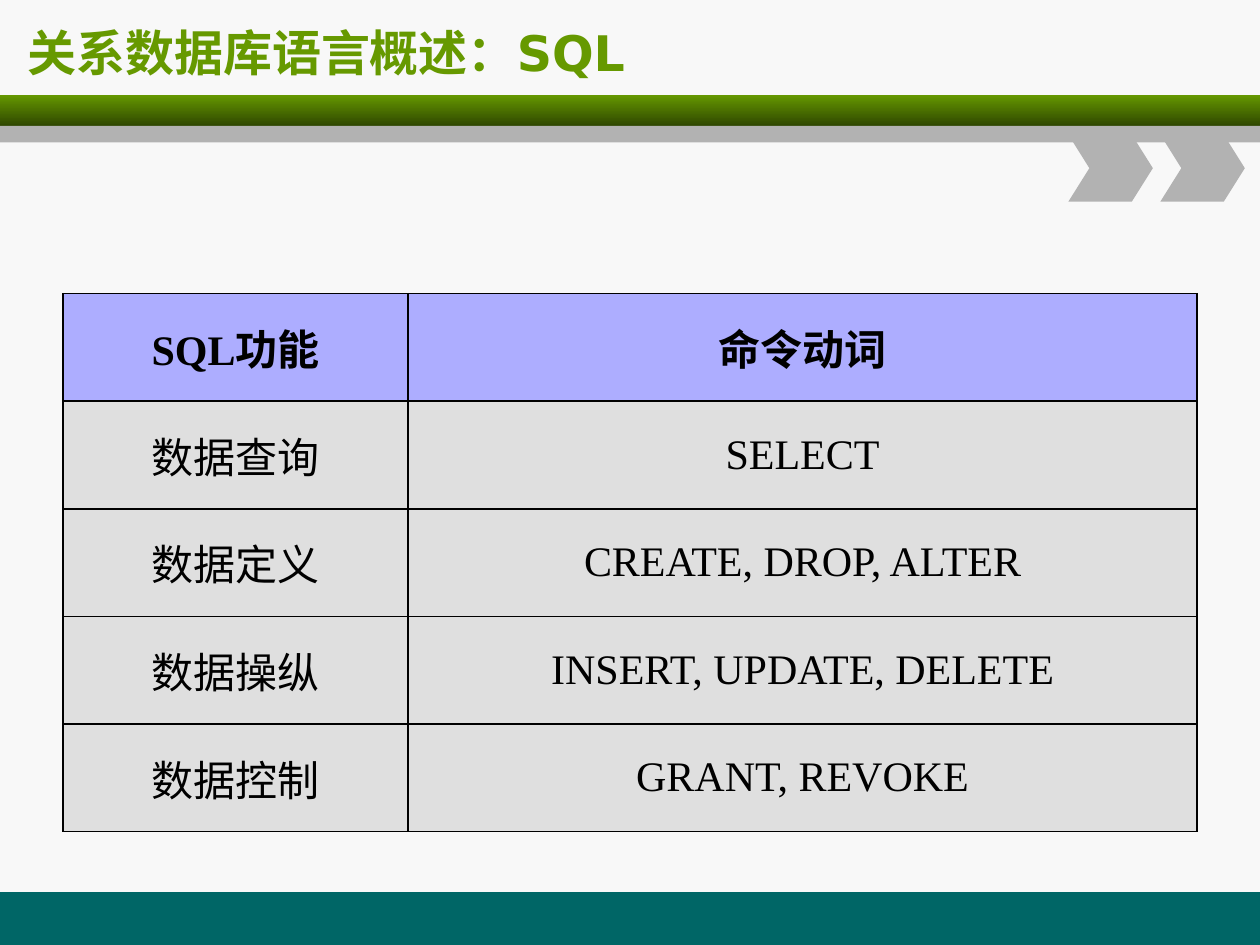
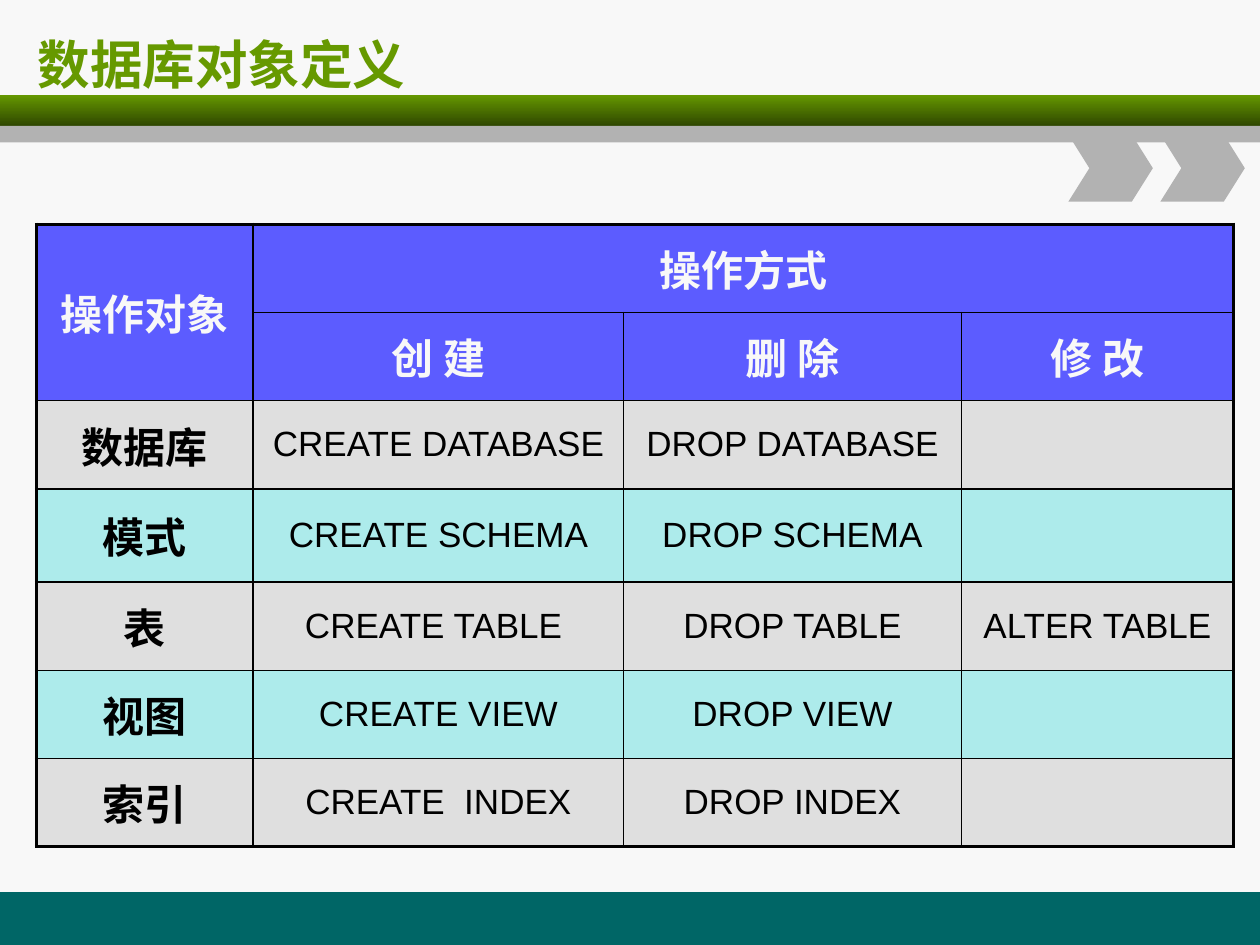
import pptx
import pptx.dml.color
import pptx.enum.shapes
import pptx.enum.text
import pptx.oxml
import pptx.oxml.ns
import pptx.util
from lxml import etree

Inches = pptx.util.Inches
Pt = pptx.util.Pt
RGB = pptx.dml.color.RGBColor
Shape = pptx.enum.shapes.MSO_SHAPE
Middle = pptx.enum.text.MSO_ANCHOR.MIDDLE
Align = pptx.enum.text.PP_ALIGN
qn = pptx.oxml.ns.qn

# Shared look
PAPER = RGB(0xF8, 0xF8, 0xF8)
GREEN = RGB(0x66, 0x99, 0x00)
MOSS = RGB(0x2F, 0x47, 0x00)
TEAL = RGB(0x00, 0x66, 0x66)
GREY = RGB(0xB2, 0xB2, 0xB2)
BLACK = RGB(0x00, 0x00, 0x00)
LILAC = RGB(0xAD, 0xAD, 0xFF)
BLUE = RGB(0x5C, 0x5C, 0xFF)
SILVER = RGB(0xDF, 0xDF, 0xDF)
AQUA = RGB(0xAD, 0xEB, 0xEB)
HAN = "Noto Sans CJK SC"

VERBS = [
    ["SQL功能", "命令动词"],
    ["数据查询", "SELECT"],
    ["数据定义", "CREATE, DROP, ALTER"],
    ["数据操纵", "INSERT, UPDATE, DELETE"],
    ["数据控制", "GRANT, REVOKE"],
]
OBJECTS = [
    ["操作对象", "操作方式", "", ""],
    ["", "创 建", "删 除", "修 改"],
    ["数据库", "CREATE DATABASE", "DROP DATABASE", ""],
    ["模式", "CREATE SCHEMA", "DROP SCHEMA", ""],
    ["表", "CREATE TABLE ", "DROP TABLE", "ALTER TABLE"],
    ["视图", "CREATE VIEW", "DROP VIEW", ""],
    ["索引", "CREATE  INDEX", "DROP INDEX", ""],
]


def style(para, face, size, color, bold):
    """Set the Latin and the Chinese font of a paragraph."""
    font = para.font
    font.size, font.bold, font.name = Pt(size), bold, face
    font.color.rgb = color
    props = para._p.pPr.find(qn("a:defRPr"))
    etree.SubElement(props, qn("a:ea"), typeface=HAN)


def block(slide, kind, box, color):
    """Add a plain shape without outline or shadow."""
    shape = slide.shapes.add_shape(kind, *map(Inches, box))
    shape.shadow.inherit = False
    shape.line.fill.background()
    shape.fill.solid()
    shape.fill.fore_color.rgb = color
    return shape


def header(slide, box):
    """Green bar, grey strip under it, two chevrons at its right end."""
    left, top, width, height = box
    bar = block(slide, Shape.RECTANGLE, box, GREEN)
    bar.fill.gradient()
    bar.fill.gradient_angle = 270
    for stop, color in zip(bar.fill.gradient_stops, (GREEN, MOSS)):
        stop.color.rgb = color
    block(slide, Shape.RECTANGLE, (left, top + height, width, 0.13), GREY)
    for i in range(2):
        spot = (left + width - 1.52 + i * 0.73, top + 0.32, 0.67, 0.53)
        block(slide, Shape.CHEVRON, spot, GREY).adjustments[0] = 0.314


def title(slide, box, text, size):
    frame = slide.shapes.add_textbox(*map(Inches, box)).text_frame
    frame.word_wrap = True
    frame.vertical_anchor = Middle
    frame.text = text
    style(frame.paragraphs[0], "DejaVu Sans", size, GREEN, True)


def edge(cell, side, width):
    """Draw one border of a cell."""
    line = etree.SubElement(cell._tc.get_or_add_tcPr(), qn("a:ln" + side),
                            w=str(Pt(width)))
    fill = etree.SubElement(line, qn("a:solidFill"))
    etree.SubElement(fill, qn("a:srgbClr"), val=str(BLACK))


def table(slide, box, rows, cols, heights, rim, spans, look):
    """Add a table; look(row, col) gives fill, face, size, color and bold."""
    grid = slide.shapes.add_table(len(rows), len(cols),
                                  *map(Inches, box)).table
    grid.first_row = grid.horz_banding = False
    for col, width in zip(grid.columns, cols):
        col.width = Inches(width)
    for row, height in zip(grid.rows, heights):
        row.height = Inches(height)
    for start, end in spans:
        grid.cell(*start).merge(grid.cell(*end))
    for r, row in enumerate(rows):
        for c, text in enumerate(row):
            cell = grid.cell(r, c)
            # Outer edges take the rim width; a merged cell ends at its span
            outer = {
                "L": c == 0,
                "R": c + cell.span_width == len(cols),
                "T": r == 0,
                "B": r + cell.span_height == len(rows),
            }
            for side, out in outer.items():
                edge(cell, side, rim if out else 1)
            fill, *font = look(r, c)
            cell.fill.solid()
            cell.fill.fore_color.rgb = fill
            cell.vertical_anchor = Middle
            if text:
                cell.text = text
                para = cell.text_frame.paragraphs[0]
                para.alignment = Align.CENTER
                style(para, *font)


def verb_look(row, col):
    return (SILVER if row else LILAC), "Times New Roman", 24, BLACK, row == 0


def object_look(row, col):
    if row < 2:
        return BLUE, "Arial", 24, PAPER, True
    fill = AQUA if row % 2 else SILVER
    return fill, "Arial", (20 if col else 24), BLACK, col == 0


def base(deck):
    """Start a slide with background, footer and header."""
    slide = deck.slides.add_slide(deck.slide_layouts[6])
    slide.background.fill.solid()
    slide.background.fill.fore_color.rgb = PAPER
    block(slide, Shape.RECTANGLE, (0, 7.08, 10, 0.42), TEAL)
    header(slide, (0, 0.75, 10, 0.25))
    return slide


def main():
    deck = pptx.Presentation()
    deck.slide_width, deck.slide_height = Inches(10), Inches(7.5)

    # Overview of the SQL verbs
    slide = base(deck)
    title(slide, (0.12, 0, 9.63, 0.83), "关系数据库语言概述：SQL", 28)
    table(slide, (0.5, 2.33, 9, 4.27), VERBS, [2.74, 6.26],
          [4.27 / len(VERBS)] * len(VERBS), 1, [], verb_look)

    # Statements for each database object
    slide = base(deck)
    title(slide, (0.2, 0.17, 9.55, 0.67), "数据库对象定义", 30)
    table(slide, (0.29, 1.78, 9.5, 4.96), OBJECTS, [1.72, 2.94, 2.68, 2.16],
          [0.7] * 3 + [0.74] + [0.7] * 3, 2.25,
          [((0, 0), (1, 0)), ((0, 1), (0, 3))], object_look)

    deck.save("out.pptx")


if __name__ == "__main__":
    main()
